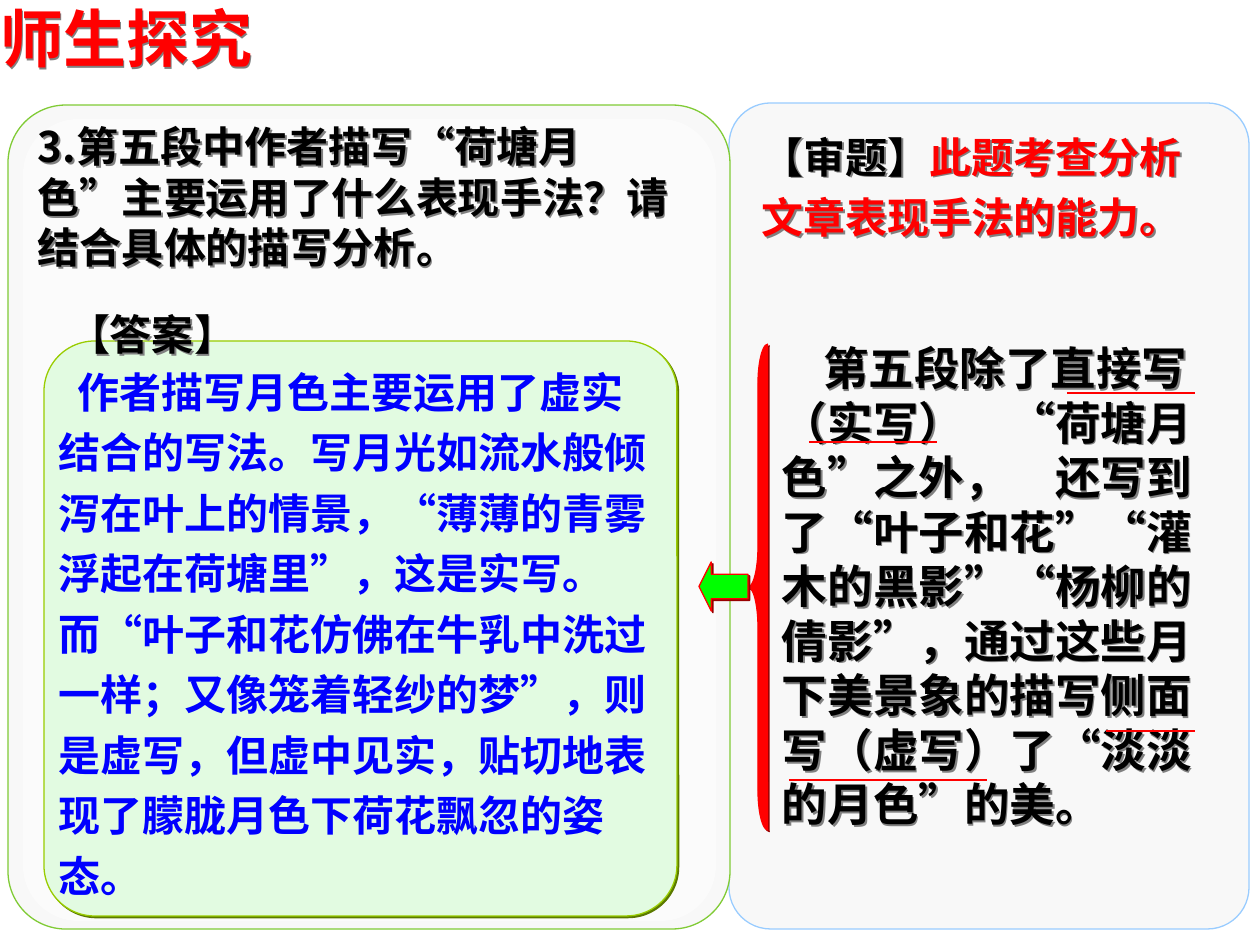
from dataclasses import dataclass

from lxml import etree
from pptx import Presentation
from pptx.dml.color import RGBColor
from pptx.enum import shapes, text
from pptx.oxml import ns
from pptx.util import Pt

EMU_PER_PX = 914400 / 126
PRESET = shapes.MSO_SHAPE


@dataclass(frozen=True)
class Theme:
    latin: str = "Arial"
    cjk: str = "Noto Sans CJK SC"
    title_size: int = 36
    body_size: int = 24
    analysis_size: int = 26
    black: str = "000000"
    red: str = "FF0000"
    blue: str = "0000FF"
    white: str = "FFFFFF"
    panel: str = "F8F8F8"
    question_edge: str = "80CB35"
    analysis_edge: str = "99CCFF"
    answer: str = "E2FBE1"
    answer_edge: str = "99CC00"
    answer_shadow: str = "5B7900"
    arrow: str = "00FF00"
    red_shadow: str = "980000"
    text_shadow: str = "808080"


THEME = Theme()


def px(length):
    return round(length * EMU_PER_PX)


def rgb(value):
    return RGBColor.from_string(value)


def add_shadow(shape, color):
    """Give a shape a hard shadow to the lower right."""
    effects = etree.SubElement(shape._element.spPr, ns.qn("a:effectLst"))
    shadow = etree.SubElement(effects, ns.qn("a:outerShdw"), dist="17780",
                              dir="2700000", algn="ctr", rotWithShape="0")
    etree.SubElement(shadow, ns.qn("a:srgbClr"), val=color)


def add_preset(slide, preset, box, fill, edge=None, adjust=(), shadow=None, alpha=None):
    shape = slide.shapes.add_shape(preset, *map(px, box))
    for i, value in enumerate(adjust):
        shape.adjustments[i] = value
    shape.fill.solid()
    shape.fill.fore_color.rgb = rgb(fill)
    if alpha is not None:
        color = shape.fill._xPr.find(ns.qn("a:solidFill"))[0]
        etree.SubElement(color, ns.qn("a:alpha"), val=str(alpha * 1000))
    if edge:
        shape.line.color.rgb = rgb(edge)
        shape.line.width = Pt(0.75)
    else:
        shape.line.fill.background()
    if shadow:
        add_shadow(shape, shadow)
    else:
        shape.shadow.inherit = False
    return shape


def write(frame, parts, size, font=THEME.latin, inset=(13, 6), spacing=None, indent=0):
    """Fill a frame with one paragraph of (wording, colour) parts."""
    frame.word_wrap = True
    frame.auto_size = text.MSO_AUTO_SIZE.SHAPE_TO_FIT_TEXT
    frame.margin_left = frame.margin_right = px(inset[0])
    frame.margin_top = frame.margin_bottom = px(inset[1])
    paragraph = frame.paragraphs[0]
    paragraph.alignment = text.PP_ALIGN.LEFT
    if spacing:
        paragraph.line_spacing = spacing
    properties = paragraph._p.get_or_add_pPr()
    properties.set("marL", "0")
    properties.set("indent", str(px(indent)))
    properties.set("hangingPunct", "0")
    for wording, color in parts:
        run = paragraph.add_run()
        run.text = wording
        run.font.size = Pt(size)
        run.font.bold = True
        run.font.color.rgb = rgb(color)
        run.font.name = font
        latin = run.font._element.find(ns.qn("a:latin"))
        latin.addnext(etree.Element(ns.qn("a:ea"), typeface=THEME.cjk))


def add_text(slide, box, parts, size, **layout):
    """Add a text box; without a fill, its shadow falls from the letters."""
    textbox = slide.shapes.add_textbox(*map(px, box))
    add_shadow(textbox, THEME.text_shadow)
    write(textbox.text_frame, parts, size, **layout)


def add_underline(slide, left, right, y):
    line = slide.shapes.add_connector(
        shapes.MSO_CONNECTOR.STRAIGHT, px(left), px(y), px(right), px(y))
    line.line.color.rgb = rgb(THEME.red)
    line.line.width = Pt(1)
    etree.SubElement(line._element.spPr, ns.qn("a:effectLst"))


def title(slide, box):
    add_text(slide, box, [("师生探究", THEME.red)], THEME.title_size, inset=(0, 0))


def question_panel(slide, box):
    x, y, w, h = box
    add_preset(slide, PRESET.ROUNDED_RECTANGLE, box, THEME.panel,
               THEME.question_edge, [0.08])
    add_preset(slide, PRESET.ROUNDED_RECTANGLE, (x + 15, y + 14, w - 29, h - 22),
               THEME.white, adjust=[0.08], alpha=50)
    add_text(slide, (x + 17, y + 10, 675, 164), [(
        "3.第五段中作者描写“荷塘月色”主要运用了什么表现手法？"
        "请结合具体的描写分析。", THEME.black)], THEME.body_size, font=THEME.cjk)


def answer_card(slide, box):
    x, y, _, _ = box
    card = add_preset(slide, PRESET.ROUNDED_RECTANGLE, box, THEME.answer,
                      THEME.answer_edge, [0.088], THEME.answer_shadow)
    card.text_frame.vertical_anchor = text.MSO_ANCHOR.MIDDLE
    write(card.text_frame, [(
        "作者描写月色主要运用了虚实结合的写法。写月光如流水般倾泻在叶上的情景，"
        "“薄薄的青雾浮起在荷塘里”，这是实写。而“叶子和花仿佛在牛乳中洗过一样；"
        "又像笼着轻纱的梦”，则是虚写，但虚中见实，贴切地表现了朦胧月色下荷花飘忽的姿态。",
        THEME.blue)], THEME.body_size, font=THEME.cjk, inset=(0, 0),
        spacing=1.2, indent=19)
    add_text(slide, (x + 11, y - 38, 220, 63), [("【答案】", THEME.black)],
             THEME.body_size)


def analysis_panel(slide, box):
    x, y, _, _ = box
    add_preset(slide, PRESET.ROUNDED_RECTANGLE, box, THEME.panel,
               THEME.analysis_edge, [0.08])
    add_text(slide, (x + 20, y + 12, 476, 134),
             [("【审题】", THEME.black), ("此题考查分析文章表现手法的能力。", THEME.red)],
             THEME.body_size, spacing=1.2)
    add_text(slide, (x + 40, y + 231, 447, 504), [(
        "第五段除了直接写（实写）　“荷塘月色”之外，　还写到了“叶子和花”“灌木的黑影”"
        "“杨柳的倩影”，通过这些月下美景象的描写侧面写（虚写）了“淡淡的月色”的美。",
        THEME.black)], THEME.analysis_size, indent=41)
    for left, right, line_y in ((338, 466, 290), (80, 208, 339),
                                (377, 466, 628), (60, 258, 677)):
        add_underline(slide, x + left, x + right, y + line_y)


def brace_and_arrow(slide, box):
    """Place the brace in the box, with the arrow leaving its tip."""
    x, y, _, h = box
    arrow = 49
    add_preset(slide, PRESET.LEFT_BRACE, box, THEME.red, THEME.red,
               [2, 0.5], THEME.red_shadow)
    add_preset(slide, PRESET.LEFT_ARROW, (x - arrow, y + (h - arrow) // 2, arrow, arrow),
               THEME.arrow, THEME.red, [0.5, 0.25], THEME.red_shadow)


def main():
    deck = Presentation()
    deck.slide_width, deck.slide_height = px(1260), px(945)
    slide = deck.slides.add_slide(deck.slide_layouts[6])
    analysis_panel(slide, (729, 103, 520, 826))
    question_panel(slide, (8, 105, 722, 824))
    title(slide, (0, 0, 422, 76))
    answer_card(slide, (44, 341, 633, 575))
    brace_and_arrow(slide, (748, 344, 20, 486))
    deck.save("out.pptx")


if __name__ == "__main__":
    main()
